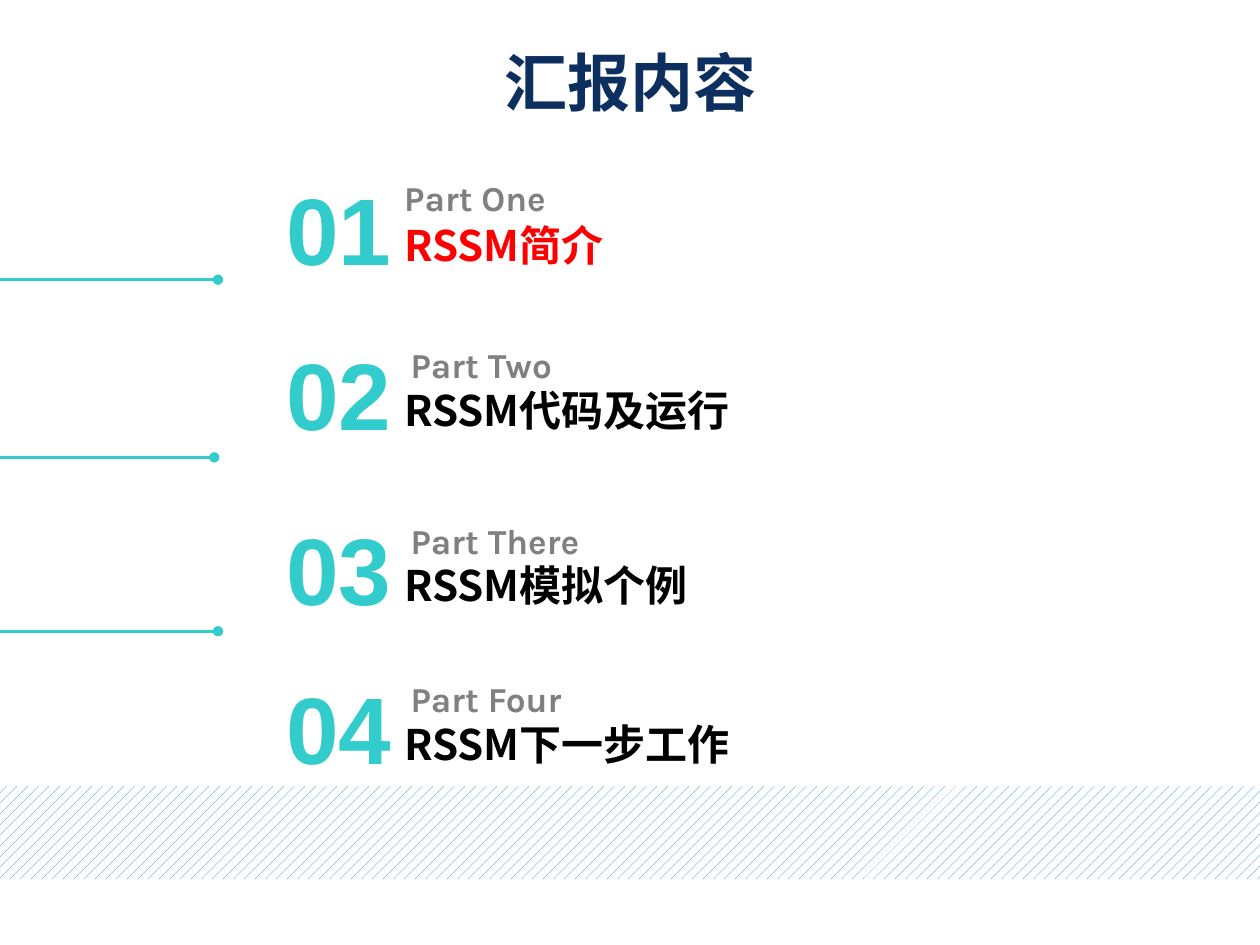
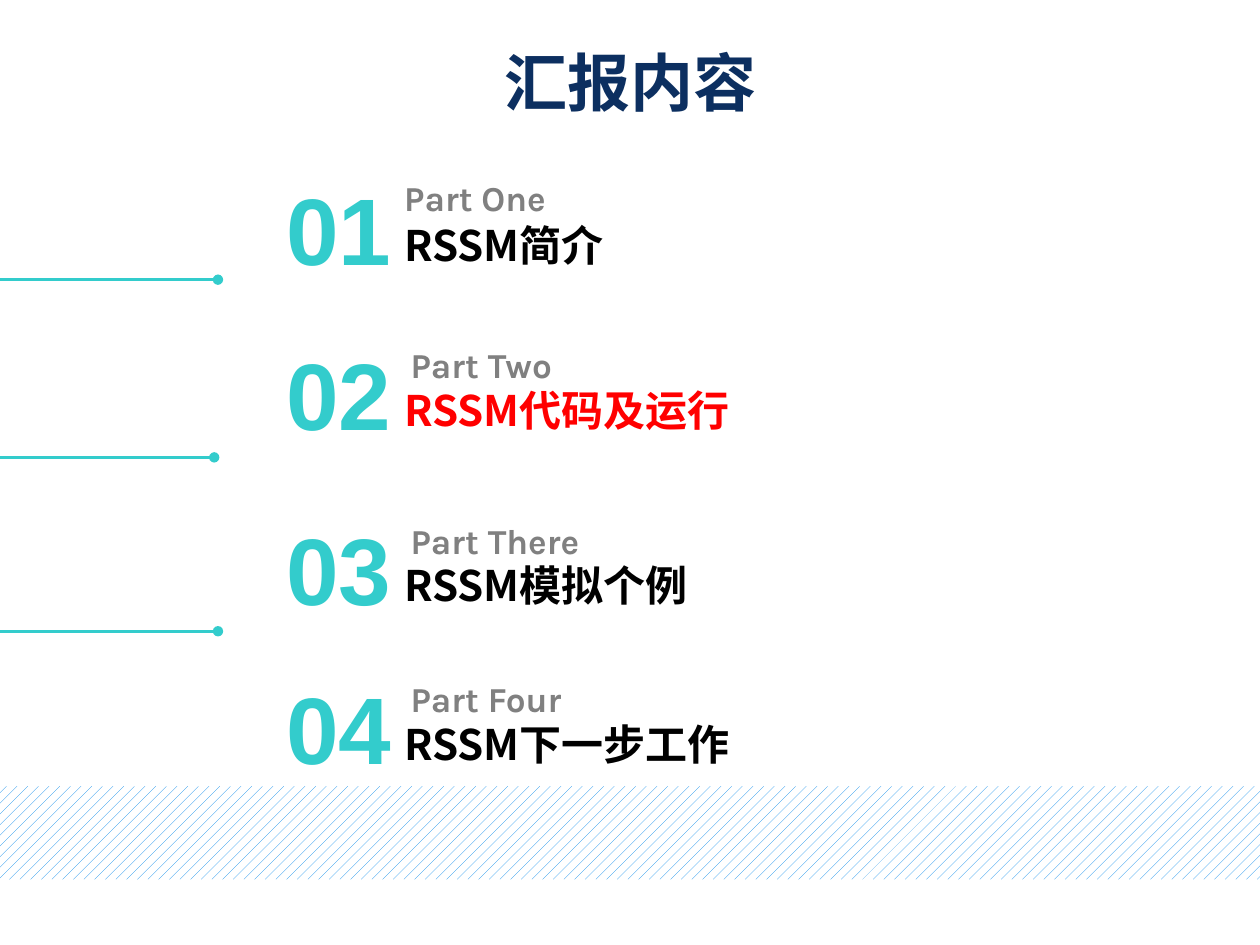
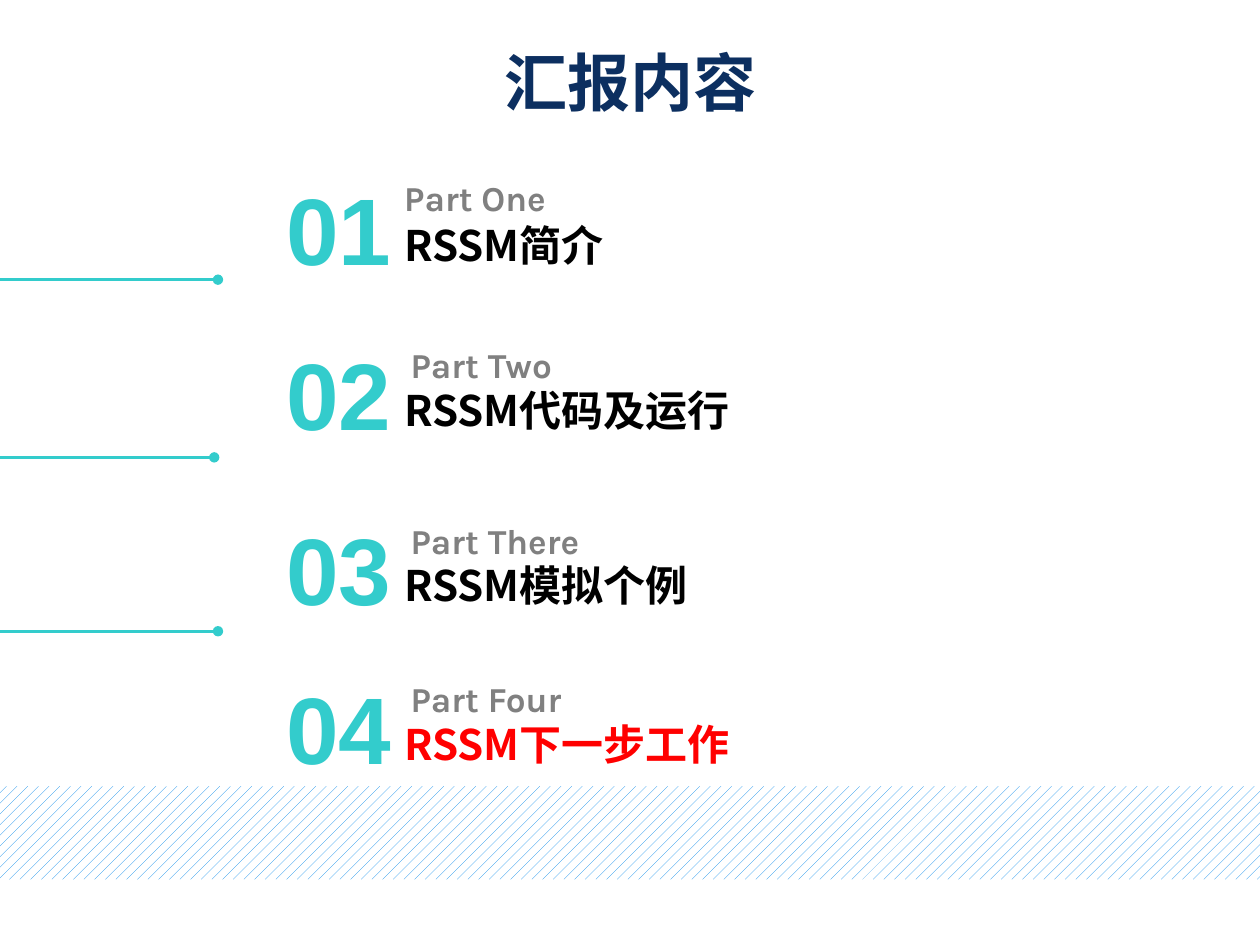
from lxml import etree
from pptx import Presentation
from pptx.dml.color import RGBColor
from pptx.enum.dml import MSO_PATTERN
from pptx.enum.shapes import MSO_CONNECTOR, MSO_SHAPE
from pptx.enum.text import MSO_ANCHOR, MSO_AUTO_SIZE, PP_ALIGN
from pptx.oxml.ns import qn
from pptx.util import Inches, Pt

HATCH = MSO_PATTERN.PERCENT_20
STRAIGHT = MSO_CONNECTOR.STRAIGHT
RECTANGLE = MSO_SHAPE.RECTANGLE
MIDDLE = MSO_ANCHOR.MIDDLE
GROW = MSO_AUTO_SIZE.SHAPE_TO_FIT_TEXT
CENTER = PP_ALIGN.CENTER

COLORS = {
    "navy": "0C2F60",
    "blue": "0070C0",
    "teal": "33CCCC",
    "gray": "808080",
    "black": "000000",
    "red": "FF0000",
    "hatch": "0086EA",
    "white": "FFFFFF",
}
LATIN, LABEL, CHINESE = "Arial", "Karla", "Noto Sans CJK SC"
LEFT_EDGE = -0.03

PARTS = [
    {"top": 1.35, "label": "Part One", "label_at": (0.84, 0), "title": "RSSM简介"},
    {"top": 2.66, "label": "Part Two", "label_at": (0.89, 0.02), "title": "RSSM代码及运行"},
    {"top": 4.05, "label": "Part There", "label_at": (0.89, 0.02), "title": "RSSM模拟个例"},
    {"top": 5.31, "label": "Part Four", "label_at": (0.89, 0.02), "title": "RSSM下一步工作"},
]
DIVIDERS = [(1.73, 2.22), (1.7, 3.63), (1.73, 5.01)]
CURRENT_PARTS = [0, 1, 3]


def color(name):
    return RGBColor.from_string(COLORS[name])


def add_text(shapes, text, place, size, font, fill, centered=False):
    box = shapes.add_textbox(*map(Inches, place))
    frame = box.text_frame
    frame.word_wrap = not centered
    frame.auto_size = GROW
    para = frame.paragraphs[0]
    if centered:
        frame.vertical_anchor = MIDDLE
        frame.margin_left = frame.margin_right = 0
        frame.margin_top = frame.margin_bottom = 0
        para.alignment = CENTER
        space = etree.SubElement(para._p.get_or_add_pPr(), qn("a:spcBef"))
        etree.SubElement(space, qn("a:spcPct"), val="20000")
    span = para.add_run()
    span.text = text
    span.font.size = Pt(size)
    span.font.bold = True
    span.font.name = font
    etree.SubElement(span._r.get_or_add_rPr(), qn("a:ea"), typeface=font)
    span.font.color.rgb = color(fill)
    return span


def add_band(page, place):
    band = page.shapes.add_shape(RECTANGLE, *map(Inches, place))
    band.shadow.inherit = False
    band.line.fill.background()
    band.fill.patterned()
    band.fill.pattern = HATCH
    band.fill.fore_color.rgb = color("hatch")
    band.fill.back_color.rgb = color("white")


def add_title(page, text, place):
    span = add_text(page.shapes, text, place, size=36, font=CHINESE,
                    fill="navy", centered=True)
    fill = span.font.fill
    fill.gradient()
    fill.gradient_angle = 90
    for stop, name in zip(fill.gradient_stops, ("navy", "blue")):
        stop.color.rgb = color(name)


def add_divider(page, right, top):
    ends = map(Inches, (right, top, LEFT_EDGE, top))
    divider = page.shapes.add_connector(STRAIGHT, *ends)
    divider.line.color.rgb = color("teal")
    divider.line.width = Pt(1.5)
    properties = divider._element.spPr
    etree.SubElement(properties.find(qn("a:ln")), qn("a:headEnd"), type="oval")
    etree.SubElement(properties, qn("a:effectLst"))


def add_part(page, number, part, left, current):
    top = part["top"]
    label_left, label_top = part["label_at"]
    shapes = page.shapes.add_group_shape().shapes
    add_text(shapes, f"{number:02d}", (left, top, 0.84, 0.91), size=54,
             font=LATIN, fill="teal", centered=True)
    add_text(shapes, part["title"], (left + 0.84, top + 0.34, 5.69, 0.5),
             size=24, font=CHINESE, fill="red" if current else "black")
    add_text(shapes, part["label"], (left + label_left, top + label_top, 1.68, 0.45),
             size=20, font=LABEL, fill="gray")


def add_agenda(deck, current):
    page = deck.slides.add_slide(deck.slide_layouts[6])
    add_band(page, (LEFT_EDGE, 6.24, 10.07, 0.74))
    add_title(page, "汇报内容", (3.99, 0.34, 2.03, 0.61))
    for right, top in DIVIDERS:
        add_divider(page, right, top)
    for index, part in enumerate(PARTS):
        add_part(page, index + 1, part, left=2.27, current=index == current)


def main():
    deck = Presentation()
    deck.slide_width, deck.slide_height = Inches(10), Inches(7.5)
    for current in CURRENT_PARTS:
        add_agenda(deck, current)
    deck.save("out.pptx")


if __name__ == "__main__":
    main()
